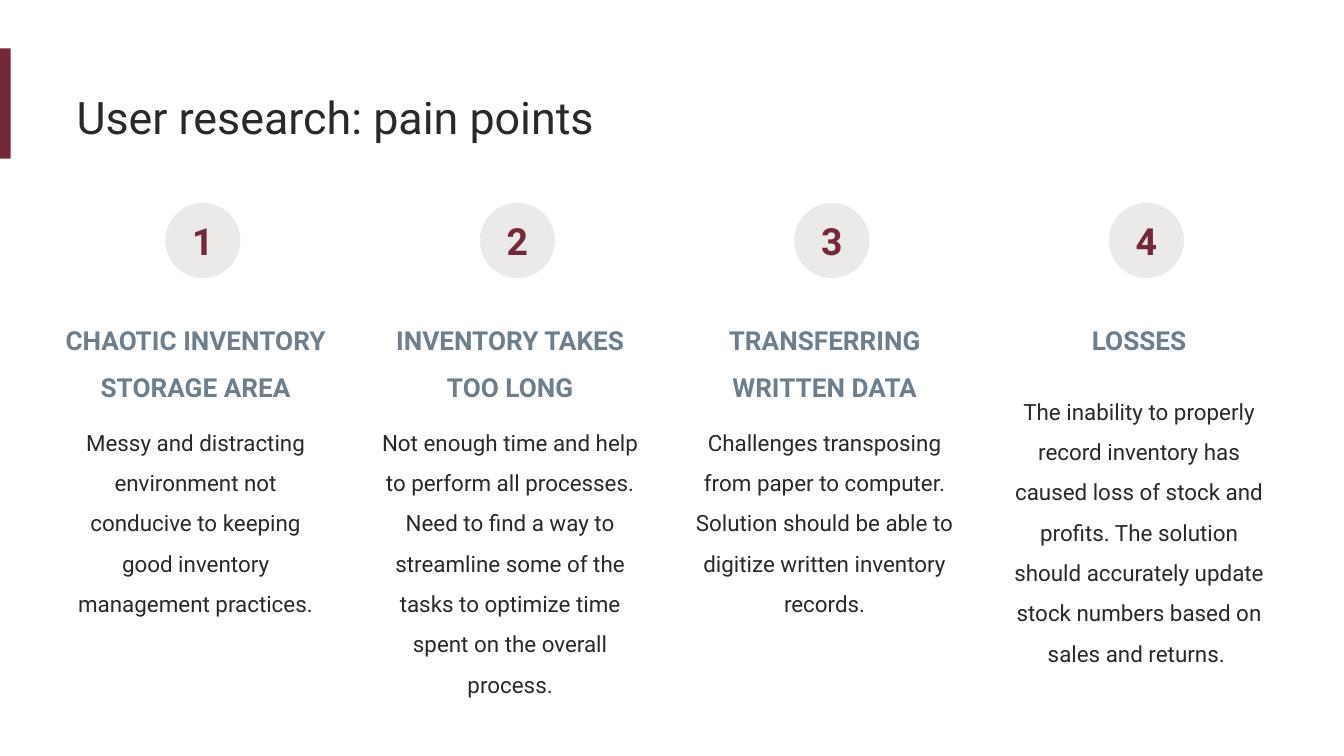
from pptx import Presentation
from pptx.dml.color import RGBColor
from pptx.enum.shapes import MSO_SHAPE
from pptx.enum.text import MSO_ANCHOR, MSO_AUTO_SIZE, PP_ALIGN
from pptx.util import Inches, Pt

FONT = "Roboto"
WINE, INK, SLATE, PALE = "732937", "292929", "6D7E8C", "ECE9E9"
PITCH = 2.34

# Heading, paragraphs, heading height, body top and body height within a column
POINTS = [
    ("CHAOTIC INVENTORY STORAGE AREA",
     ["Messy and distracting environment not conducive to keeping good "
      "inventory management practices."], 0.79, 1.48, 1.62),
    ("INVENTORY TAKES TOO LONG",
     ["Not enough time and help to perform all processes.",
      "Need to find a way to streamline some of the tasks to optimize time "
      "spent on the overall process."], 0.79, 1.48, 2.22),
    ("TRANSFERRING WRITTEN DATA",
     ["Challenges transposing from paper to computer. Solution should be "
      "able to digitize written inventory records."], 0.79, 1.48, 1.62),
    ("LOSSES",
     ["The inability to properly record inventory has caused loss of stock "
      "and profits. The solution should accurately update stock numbers "
      "based on sales and returns. "], 0.44, 1.25, 2.22),
]


def color(code):
    return RGBColor.from_string(code)


def write(frame, lines, size, ink, bold=False, align=None, spacing=None):
    frame.word_wrap = True
    frame.text = "\n".join(lines)
    for para in frame.paragraphs:
        para.alignment = align
        para.line_spacing = spacing
        for run in para.runs:
            font = run.font
            font.name, font.size, font.bold = FONT, Pt(size), bold
            font.color.rgb = color(ink)


def add_text(slide, box, lines, size, ink, **style):
    frame = slide.shapes.add_textbox(*map(Inches, box)).text_frame
    frame.margin_left = 0
    frame.margin_top = frame.margin_right = frame.margin_bottom = Inches(0.1)
    write(frame, lines, size, ink, **style)
    frame.auto_size = MSO_AUTO_SIZE.SHAPE_TO_FIT_TEXT


def add_shape(slide, kind, box, fill):
    shape = slide.shapes.add_shape(kind, *map(Inches, box))
    shape.shadow.inherit = False
    shape.fill.solid()
    shape.fill.fore_color.rgb = color(fill)
    shape.line.fill.background()
    return shape


def add_header(slide, left, top):
    # Accent bar and title
    add_shape(slide, MSO_SHAPE.RECTANGLE, (left, top, 0.08, 0.82), WINE)
    add_text(slide, (left + 0.57, top + 0.21, 6.73, 0.61),
             ["User research: pain points"], 24, INK)


def add_point(slide, left, top, width, number, point):
    heading, lines, head_high, body_top, body_high = point
    # Numbered badge
    badge = add_shape(slide, MSO_SHAPE.OVAL,
                      (left + 0.75, top, 0.56, 0.56), PALE)
    frame = badge.text_frame
    frame.margin_left = frame.margin_right = 0
    frame.margin_top = frame.margin_bottom = 0
    frame.vertical_anchor = MSO_ANCHOR.MIDDLE
    write(frame, [str(number)], 20, WINE, bold=True, align=PP_ALIGN.CENTER)
    # Heading and description
    add_text(slide, (left, top + 0.69, width, head_high), [heading], 14,
             SLATE, bold=True, align=PP_ALIGN.CENTER, spacing=1.5)
    add_text(slide, (left, top + body_top, width, body_high), lines, 12,
             INK, align=PP_ALIGN.CENTER, spacing=1.5)


def main():
    # Widescreen page, 16 to 9
    deck = Presentation()
    deck.slide_width = Inches(10)
    deck.slide_height = deck.slide_width * 9 // 16
    slide = deck.slides.add_slide(deck.slide_layouts[6])
    add_header(slide, 0, 0.36)
    for i, point in enumerate(POINTS):
        add_point(slide, 0.48 + i * PITCH, 1.51, 2.05, i + 1, point)
    deck.save("out.pptx")


if __name__ == "__main__":
    main()
